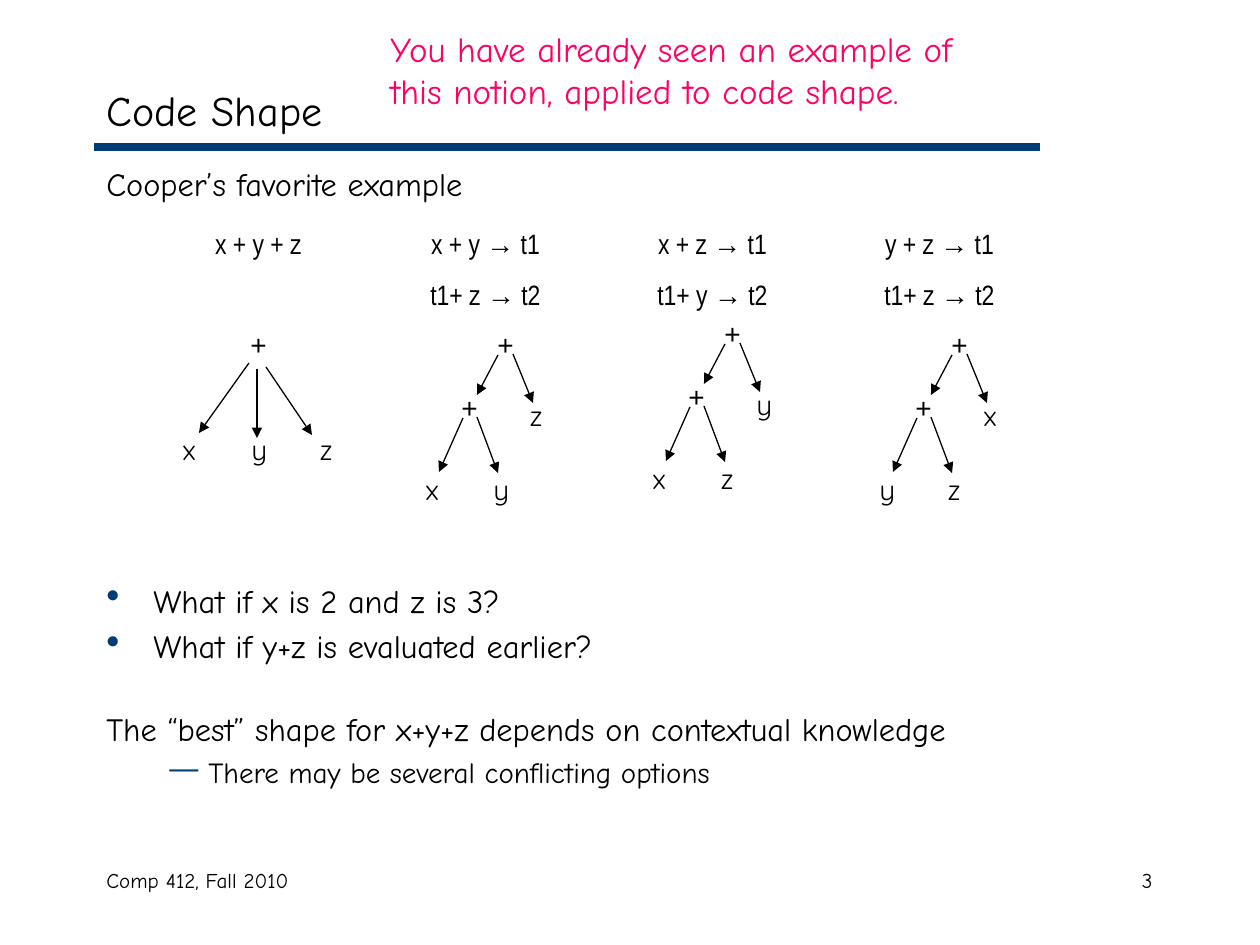
from lxml import etree
from pptx import Presentation
from pptx.dml.color import RGBColor
from pptx.enum.shapes import MSO_CONNECTOR
from pptx.enum.text import MSO_ANCHOR, PP_ALIGN
from pptx.oxml.ns import qn
from pptx.util import Pt

PX = 914400 / 126
LINE = MSO_CONNECTOR.STRAIGHT
MID = MSO_ANCHOR.MIDDLE
LEFT, CENTER, RIGHT = PP_ALIGN.LEFT, PP_ALIGN.CENTER, PP_ALIGN.RIGHT

BLACK = RGBColor(0x00, 0x00, 0x00)
WHITE = RGBColor(0xFF, 0xFF, 0xFF)
NAVY = RGBColor(0x00, 0x3C, 0x75)
PINK = RGBColor(0xFF, 0x00, 0x65)

COMIC, NARROW, SANS, ROUND = "Comic Neue", "Arial Narrow", "Arial", "Quicksand"

COL, STEP = 396, 227
ROOT = 321

# Nodes are (x, y); edges are (x1, y1, x2, y2); all from the tree's corner.
FLAT_NODES = [(69, 0), (1, 105), (70, 105), (138, 105)]
FLAT_EDGES = [(88, 48, 88, 117), (97, 46, 143, 114), (80, 42, 30, 112)]
PAIR_NODES = [(89, 0), (53, 63), (121, 71), (17, 145), (85, 145)]
PAIR_EDGES = [(81, 96, 102, 152), (117, 33, 137, 82),
              (67, 97, 43, 151), (102, 34, 81, 74)]

# Code lines, node labels from the root down, top of the tree
PAIRS = [
    (["x + y → t1", "t1+ z → t2"], "++zxy", ROOT),
    (["x + z → t1", "t1+ y → t2"], "++yxz", ROOT - 11),
    (["y + z → t1", "t1+ z → t2"], "++xyz", ROOT),
]


def emu(*px):
    return [round(n * PX) for n in px]


def style(font, name, size, color=BLACK):
    font.name = name
    font.size = Pt(size)
    font.color.rgb = color


def add_text(slide, box, text, name, size, color=BLACK, align=LEFT, wrap=True):
    shape = slide.shapes.add_textbox(*emu(*box))
    frame = shape.text_frame
    frame.word_wrap = wrap
    frame.text = text
    for para in frame.paragraphs:
        para.alignment = align
        for run in para.runs:
            style(run.font, name, size, color)
    return shape


def add_line(slide, ends, color, width, head=False):
    line = slide.shapes.add_connector(LINE, *emu(*ends))
    line.line.color.rgb = color
    line.line.width = Pt(width)
    if head:
        etree.SubElement(line.line._get_or_add_ln(), qn("a:tailEnd"),
                         type="triangle")
    etree.SubElement(line._element.spPr, qn("a:effectLst"))


def add_bullet(para, char, left, hang, scale=100):
    props = para._p.get_or_add_pPr()
    props.set("marL", str(emu(left)[0]))
    props.set("indent", str(emu(-hang)[0]))
    color = etree.SubElement(props, qn("a:buClr"))
    etree.SubElement(color, qn("a:srgbClr"), val=str(NAVY))
    etree.SubElement(props, qn("a:buSzPct"), val=str(scale * 1000))
    etree.SubElement(props, qn("a:buChar"), char=char)


def add_code(slide, left, lines):
    """Write centred code, with its arrows in the plain sans font."""
    shape = add_text(slide, (left, 220, 179, 97), "\n".join(lines),
                     NARROW, 16, align=CENTER)
    for para in shape.text_frame.paragraphs[1:]:
        para.space_before = Pt(10)
    for para, line in zip(shape.text_frame.paragraphs, lines):
        if "→" in line:
            para.text = ""
            for part in line.partition("→"):
                run = para.add_run()
                run.text = part
                style(run.font, SANS if part == "→" else NARROW, 16)


def add_tree(slide, left, top, nodes, labels, edges):
    for (x, y), label in zip(nodes, labels):
        name, width = (SANS, 41) if label == "+" else (ROUND, 39)
        add_text(slide, (left + x, top + y, width, 47), label, name, 16,
                 wrap=False)
    for x1, y1, x2, y2 in edges:
        ends = (left + x1, top + y1, left + x2, top + y2)
        add_line(slide, ends, BLACK, 0.75, head=True)


def add_points(slide):
    shape = add_text(slide, (94, 575, 1072, 235), "\n".join([
        "What if x is 2 and z is 3?",
        "What if y+z is evaluated earlier?",
        "The “best” shape for x+y+z depends on contextual knowledge",
        "There may be several conflicting options",
    ]), COMIC, 18.5)
    ask, also, best, note = shape.text_frame.paragraphs
    for para, gap in ((also, 3.7), (best, 25), (note, 3.4)):
        para.space_before = Pt(gap)
    for para in (ask, also):
        add_bullet(para, "•", 47, 47, 120)
    note.level = 1
    add_bullet(note, "—", 102, 39)
    note.runs[0].font.size = Pt(16.6)


def main():
    deck = Presentation()
    deck.slide_width, deck.slide_height = emu(1260, 945)
    slide = deck.slides.add_slide(deck.slide_layouts[6])

    add_line(slide, (94, 147, 1040, 147), NAVY, 4.5)
    add_text(slide, (94, 861, 400, 63), "Comp 412, Fall 2010", COMIC, 12)
    add_text(slide, (903, 861, 262, 63), "3", COMIC, 12, align=RIGHT)
    title = add_text(slide, (94, 73, 1072, 73), "Code Shape", COMIC, 24)
    title.text_frame.vertical_anchor = MID
    add_text(slide, (94, 158, 1072, 50), "Cooper’s favorite example",
             COMIC, 18.5)
    add_points(slide)

    add_code(slide, COL - STEP, ["x + y + z"])
    add_tree(slide, COL - STEP, ROOT, FLAT_NODES, "+xyz", FLAT_EDGES)
    for i, (lines, labels, top) in enumerate(PAIRS):
        left = COL + i * STEP
        add_code(slide, left, lines)
        add_tree(slide, left, top, PAIR_NODES, labels, PAIR_EDGES)

    banner = add_text(
        slide, (378, 21, 640, 97),
        "You have already seen an example of this notion, "
        "applied to code shape.", COMIC, 20, PINK)
    banner.fill.solid()
    banner.fill.fore_color.rgb = WHITE
    deck.save("out.pptx")


if __name__ == "__main__":
    main()
